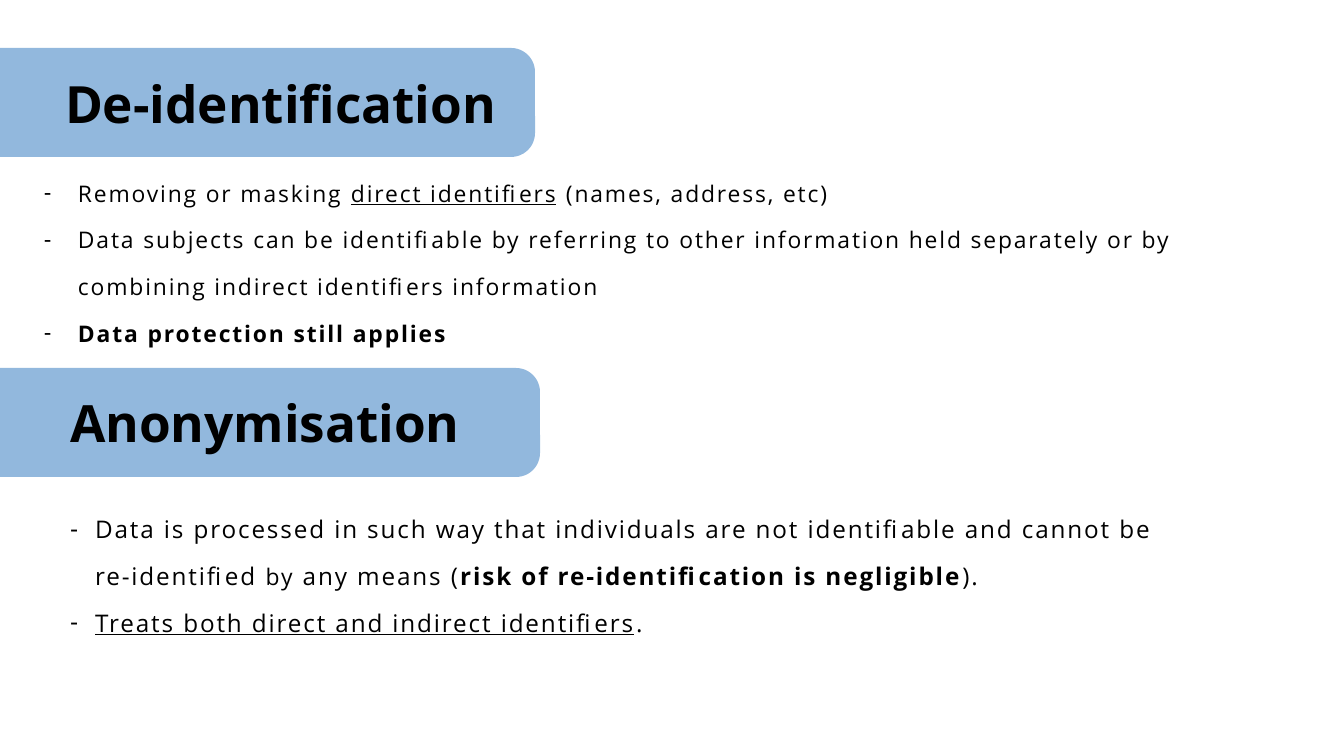
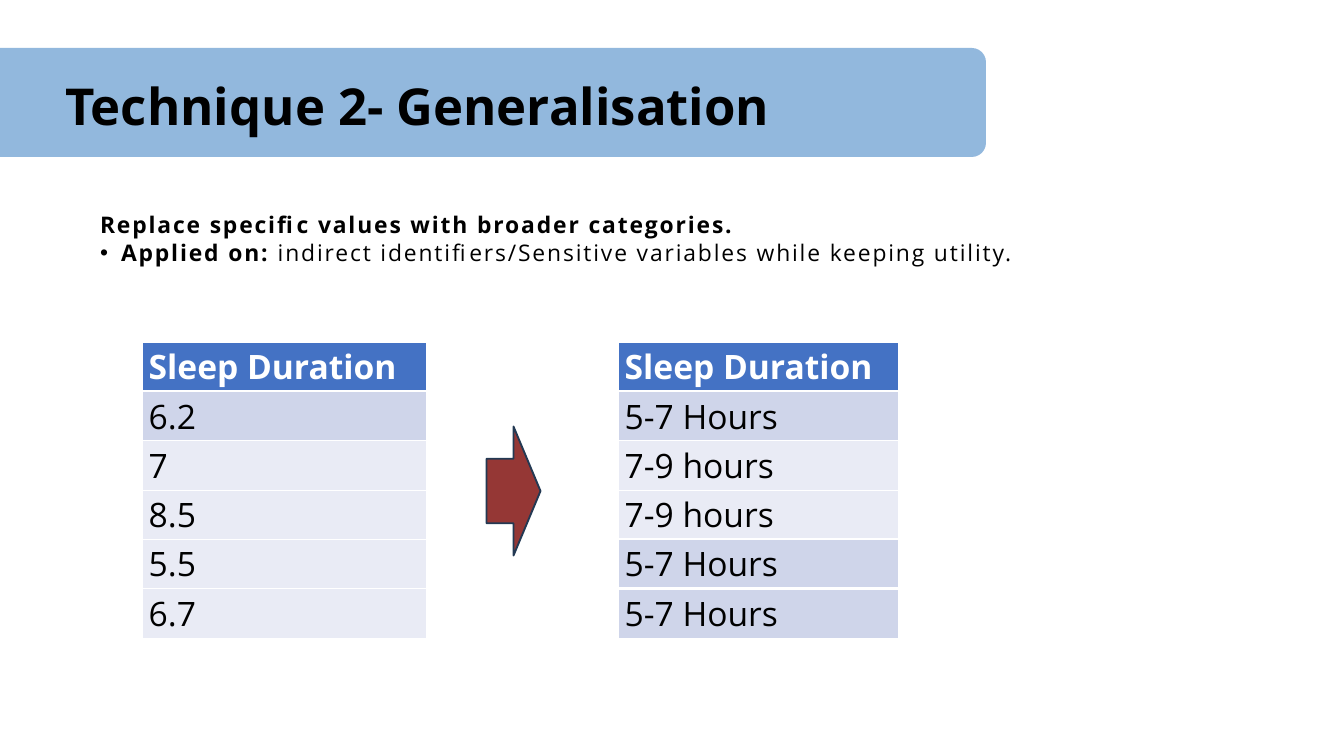
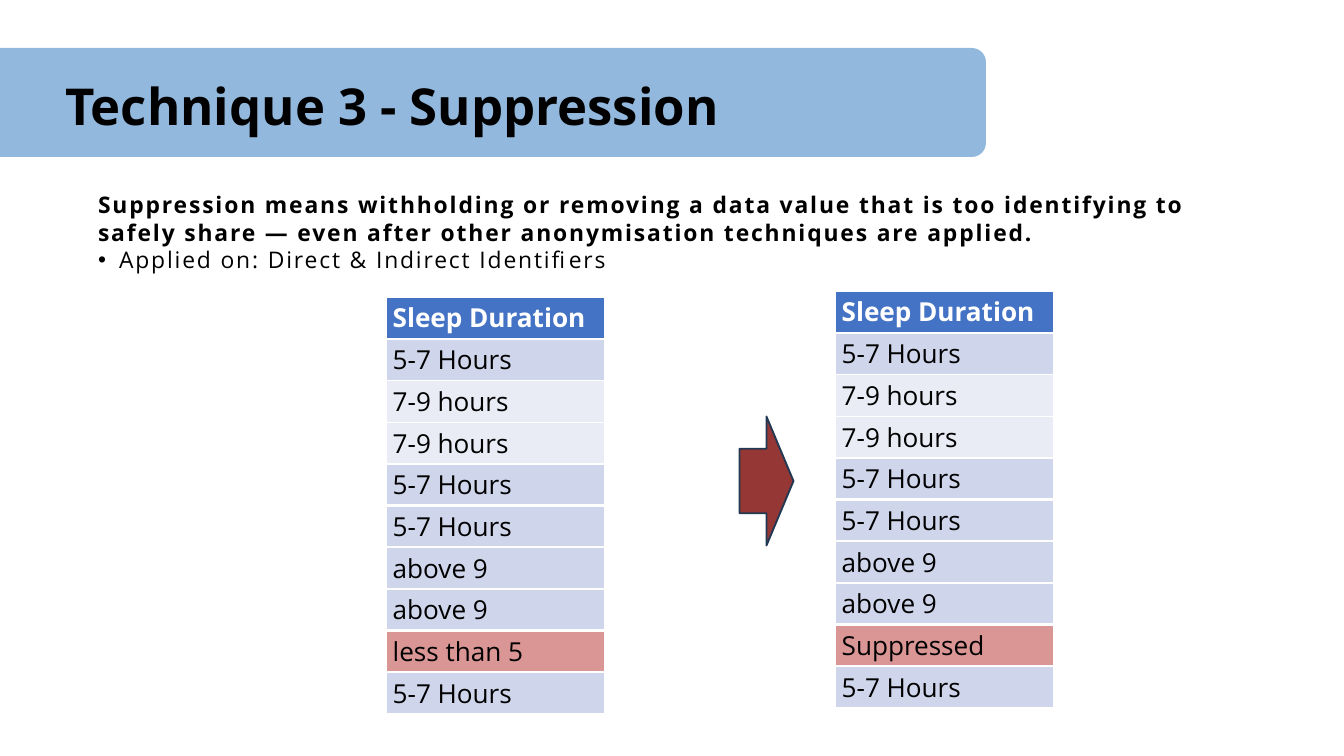
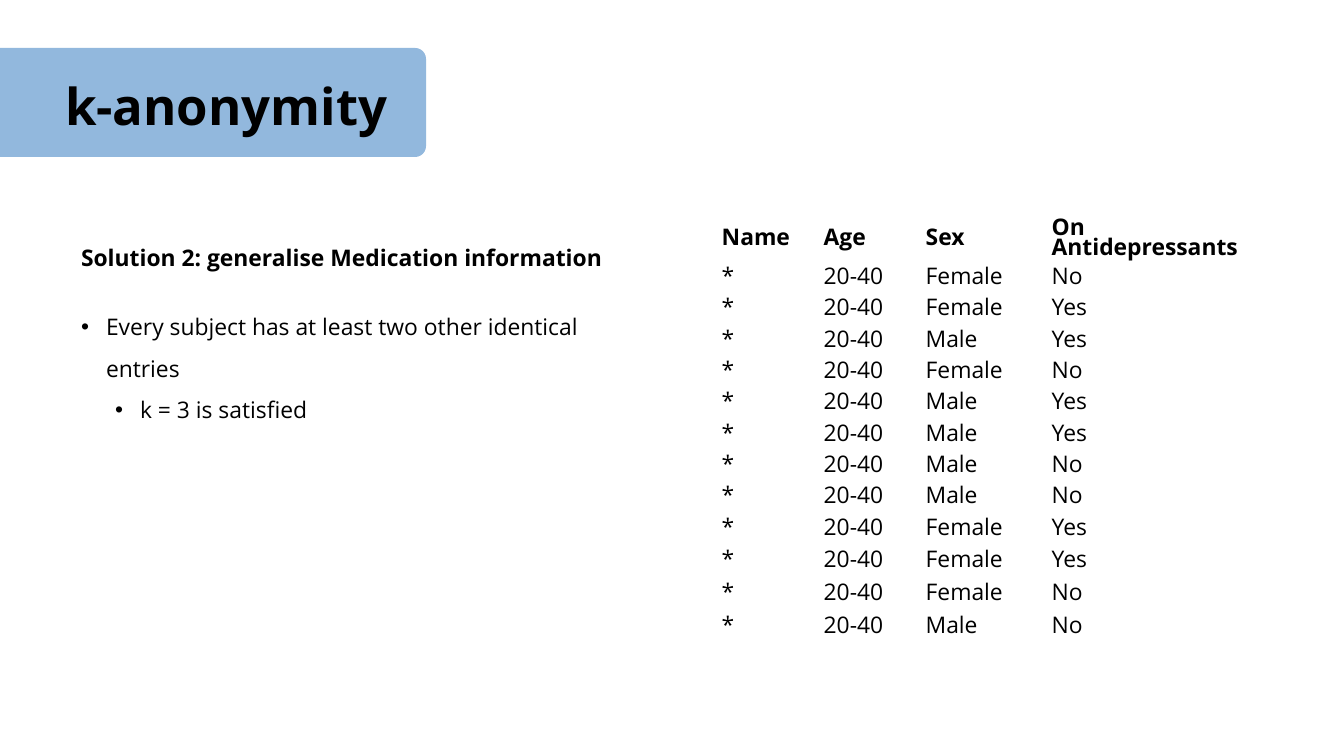
from dataclasses import dataclass

from lxml.etree import SubElement as Sub
from pptx import Presentation
from pptx.dml.color import RGBColor as Rgb
from pptx.enum.shapes import MSO_SHAPE as Shape
from pptx.enum.text import MSO_ANCHOR as Anchor, MSO_AUTO_SIZE as Fit, PP_ALIGN as Align
from pptx.oxml.ns import qn
from pptx.util import Emu, Pt


@dataclass(frozen=True)
class Theme:
    font: str = "Open Sans"
    ink: str = "000000"
    paper: str = "FFFFFF"
    band: str = "92B8DD"
    head: str = "4472C4"
    dark: str = "CFD5EA"
    light: str = "E9EBF5"
    alert: str = "D99694"
    arrow: str = "953735"
    edge: str = "233953"
    title: float = 54.5
    topic: float = 55
    body: float = 24.5
    large: float = 26
    thin: float = 0.95
    thick: float = 2.85


T = Theme()
TONES = {"H": T.head, "D": T.dark, "L": T.light, "R": T.alert}

# Content: text pieces carry flags b (bold), u (underlined), s (small);
# list items are (level, pieces), where level None means no bullet
TOPICS = [
    {"title": "De-identification", "at": (65, 75, 470, 59), "band": (-134, 48, 669, 109),
     "list": {"at": (44, 160, 1198, 183), "size": T.body, "hang": 34, "items": [
         (0, [("Removing or masking ", ""), ("direct identifiers", "u"),
              (" (names, address, etc)", "")]),
         (0, [("Data subjects can be identifiable by referring to other information "
               "held separately or by combining indirect identifiers information", "")]),
         (0, [("Data protection still applies", "b")])]}},
    {"title": "Anonymisation", "at": (70, 394, 431, 59), "band": (-129, 368, 669, 109),
     "list": {"at": (70, 497, 1128, 136), "size": T.large, "hang": 25, "items": [
         (0, [("Data is processed in such way that individuals are not identifiable "
               "and cannot be re-identified ", ""), ("by", "s"), (" any means (", ""),
              ("risk of re-identification is negligible", "b"), (").", "")]),
         (0, [("Treats both direct and indirect identifiers", "u"), (".", "")])]}},
]

HOURS = ["5-7 Hours", "7-9 hours", "7-9 hours", "5-7 Hours", "5-7 Hours"]
SLEEP = "Sleep Duration"
LONG = [SLEEP, *HOURS, "above 9", "above 9"]
STEPS = {0, *range(3, 10)}

# Tables: "thick" holds the rows with a wide rule below them
METHODS = [
    {"title": "Technique 2- Generalisation", "arrow": (449, 464, 129, 54),
     "list": {"at": (93, 208, 1152, 62), "items": [
         (None, [("Replace specific values with broader categories.", "b")]),
         (0, [("Applied on: ", "b"),
              ("indirect identifiers/Sensitive variables while keeping utility.", "")])]},
     "size": 36, "high": 296, "tables": [
         {"at": (142, 342), "wide": 284, "tones": "HDLLLL", "thick": {0},
          "rows": [SLEEP, "6.2", "7", "8.5", "5.5", "6.7"]},
         {"at": (618, 342), "wide": 280, "tones": "HDLLDD", "thick": {0, 3, 4},
          "rows": [SLEEP, *HOURS]}]},
    {"title": "Technique 3 - Suppression", "arrow": (702, 454, 129, 54),
     "list": {"at": (91, 188, 1152, 90), "items": [
         (None, [("Suppression means withholding or removing a data value that is too "
                  "identifying to safely share — even after other anonymisation "
                  "techniques are applied.", "b")]),
         (0, [("Applied on: Direct & Indirect Identifiers", "")])]},
     "size": 28, "high": 417, "tables": [
         {"at": (386, 297), "wide": 218, "tones": "HDLLDDDDRD", "thick": STEPS,
          "rows": [*LONG, "less than 5", "5-7 Hours"]},
         {"at": (835, 291), "wide": 218, "tones": "HDLLDDDDRD", "thick": STEPS,
          "rows": [*LONG, "Suppressed", "5-7 Hours"]}]},
]

SOLVED = {"at": (74, 241, 555, 219), "items": [
    (None, [("Solution 2: generalise Medication information", "b")]),
    (0, [("Every subject has at least two other identical entries", "")]),
    (1, [("k = 3 is satisfied", "")])]}
PEOPLE = [("Female", "No"), ("Female", "Yes"), ("Male", "Yes"), ("Female", "No"),
          ("Male", "Yes"), ("Male", "Yes"), ("Male", "No"), ("Male", "No"),
          ("Female", "Yes"), ("Female", "Yes"), ("Female", "No"), ("Male", "No")]
CASES = [("Name", "Age", "Sex", "On Antidepressants"),
         *(("*", "20-40", sex, drug) for sex, drug in PEOPLE)]
CASE_COLS = [102, 102, 126, 228]
CASE_ROWS = [48] + [31, 31, 32] * 3 + [33] * 3

# Shared geometry
HEAD = (65, 75, 898, 62)
WIDE = (-134, 48, 1120, 109)
SHORT = (-134, 48, 560, 109)


def px(n):
    return Emu(round(n * 914400 / 67.2))


def place(shape, box):
    shape.left, shape.top, shape.width, shape.height = map(px, box)


def ink(run, size, bold=False, color=T.ink):
    font = run.font
    font.name, font.size, font.bold = T.font, Pt(size), bold
    font.color.rgb = Rgb.from_string(color)


def paint(shape, fill, line=None):
    shape.shadow.inherit = False
    shape.fill.solid()
    shape.fill.fore_color.rgb = Rgb.from_string(fill)
    if line:
        shape.line.color.rgb = Rgb.from_string(line)
        shape.line.width = Pt(2)
    else:
        shape.line.fill.background()


def frame(shape, inset=True):
    text = shape.text_frame
    text.word_wrap, text.auto_size = True, Fit.NONE
    text.vertical_anchor = Anchor.TOP
    text.margin_left = text.margin_right = px(7 if inset else 0)
    text.margin_top = text.margin_bottom = px(3 if inset else 0)
    return text


# Titles and their bands
def band(slide, box, turn):
    bar = slide.shapes.add_shape(Shape.ROUNDED_RECTANGLE, *map(px, box))
    bar.adjustments[0] = turn
    paint(bar, T.band)
    return bar


def label(shape, words, box, size, line=1.0):
    place(shape, box)
    text = frame(shape, False)
    text.text = words
    para = text.paragraphs[0]
    para.alignment, para.line_spacing = Align.LEFT, line
    ink(para.runs[0], size, True)


def head(slide, words, bar=WIDE, turn=0.13, box=HEAD, size=T.title, line=1.0):
    title = slide.shapes.title
    label(title, words, box, size, line)
    title.element.addprevious(band(slide, bar, turn).element)


# Lists
def bullet(para, mark, level, hang):
    props = para._p.get_or_add_pPr()
    props.set("marL", str(px(hang + level * 34) if mark else 0))
    props.set("indent", str(-px(hang) if mark else 0))
    if mark:
        Sub(props, qn("a:buFont"), typeface="Arial")
        Sub(props, qn("a:buChar"), char=mark)
    else:
        Sub(props, qn("a:buNone"))


def fill_list(shape, at, items, size=T.body, hang=21, mark="•",
              line=1.0, gap=0, track=200, inset=True):
    place(shape, at)
    text = frame(shape, inset)
    for i, (level, parts) in enumerate(items):
        para = text.add_paragraph() if i else text.paragraphs[0]
        listed = level is not None
        para.level = level or 0
        bullet(para, mark if listed else None, para.level, hang)
        para.alignment = Align.LEFT
        para.line_spacing = line if listed else 1.0
        para.space_before = Pt(gap if i == 1 else 0)
        for words, flags in parts:
            run = para.add_run()
            run.text = words
            ink(run, T.body if "s" in flags else size, "b" in flags)
            run.font.underline = "u" in flags
            if track:
                run._r.get_or_add_rPr().set("spc", str(track))


# Tables: a width of 0 leaves that side without a rule
def rule(cell, widths):
    props = cell._tc.get_or_add_tcPr()
    for side, width in zip("LRTB", widths):
        line = Sub(props, qn("a:ln" + side), w=str(Pt(width)))
        if width:
            Sub(Sub(line, qn("a:solidFill")), qn("a:srgbClr"), val=T.paper)
        else:
            Sub(line, qn("a:noFill"))


def grid(slide, at, cols, highs, rows, size, tones="", thick=(), line=1.0):
    spot = map(px, (*at, sum(cols), sum(highs)))
    table = slide.shapes.add_table(len(rows), len(cols), *spot).table
    table.first_row = table.horz_banding = False
    thin = T.thin if tones else 0
    for col, wide in zip(table.columns, cols):
        col.width = px(wide)
    for r, row in enumerate(rows):
        table.rows[r].height = px(highs[r])
        above, below = (T.thick if n in thick else thin for n in (r - 1, r))
        for c, words in enumerate(row):
            cell = table.cell(r, c)
            cell.text = words
            cell.vertical_anchor = Anchor.MIDDLE
            cell.margin_top = cell.margin_bottom = 0
            rule(cell, (thin, thin, above, below))
            if tones:
                cell.fill.solid()
                cell.fill.fore_color.rgb = Rgb.from_string(TONES[tones[r]])
            else:
                cell.fill.background()
            para = cell.text_frame.paragraphs[0]
            para.line_spacing = line
            ink(para.runs[0], size, r == 0, T.paper if tones and r == 0 else T.ink)


# Slides
def topics(deck):
    slide = deck.slides.add_slide(deck.slide_layouts[3])
    first, second = TOPICS
    look = {"size": T.topic, "line": Pt(63.2)}
    head(slide, first["title"], first["band"], 0.22, first["at"], **look)
    band(slide, second["band"], 0.22)
    label(slide.shapes.add_textbox(0, 0, 0, 0), second["title"], second["at"], **look)
    for n, topic in enumerate(TOPICS, 1):
        fill_list(slide.placeholders[n], **topic["list"], mark="-",
                  line=Pt(50), inset=False)


def method(deck, data):
    slide = deck.slides.add_slide(deck.slide_layouts[1])
    head(slide, data["title"])
    fill_list(slide.placeholders[1], **data["list"])
    for part in data["tables"]:
        count = len(part["rows"])
        grid(slide, part["at"], [part["wide"]], [data["high"] / count] * count,
             [[words] for words in part["rows"]], data["size"],
             part["tones"], part["thick"])
    arrow = slide.shapes.add_shape(Shape.DOWN_ARROW, *map(px, data["arrow"]))
    arrow.rotation = 270
    paint(arrow, T.arrow, T.edge)


def privacy(deck):
    slide = deck.slides.add_slide(deck.slide_layouts[1])
    head(slide, "k-anonymity", SHORT, 0.1)
    fill_list(slide.placeholders[1], **SOLVED, hang=25, line=1.5, gap=30, track=0)
    grid(slide, (715, 218), CASE_COLS, CASE_ROWS, CASES, T.body, line=Pt(21.8))


def main():
    deck = Presentation()
    deck.slide_width, deck.slide_height = px(1344), px(756)
    topics(deck)
    for data in METHODS:
        method(deck, data)
    privacy(deck)
    deck.save("out.pptx")


if __name__ == "__main__":
    main()
